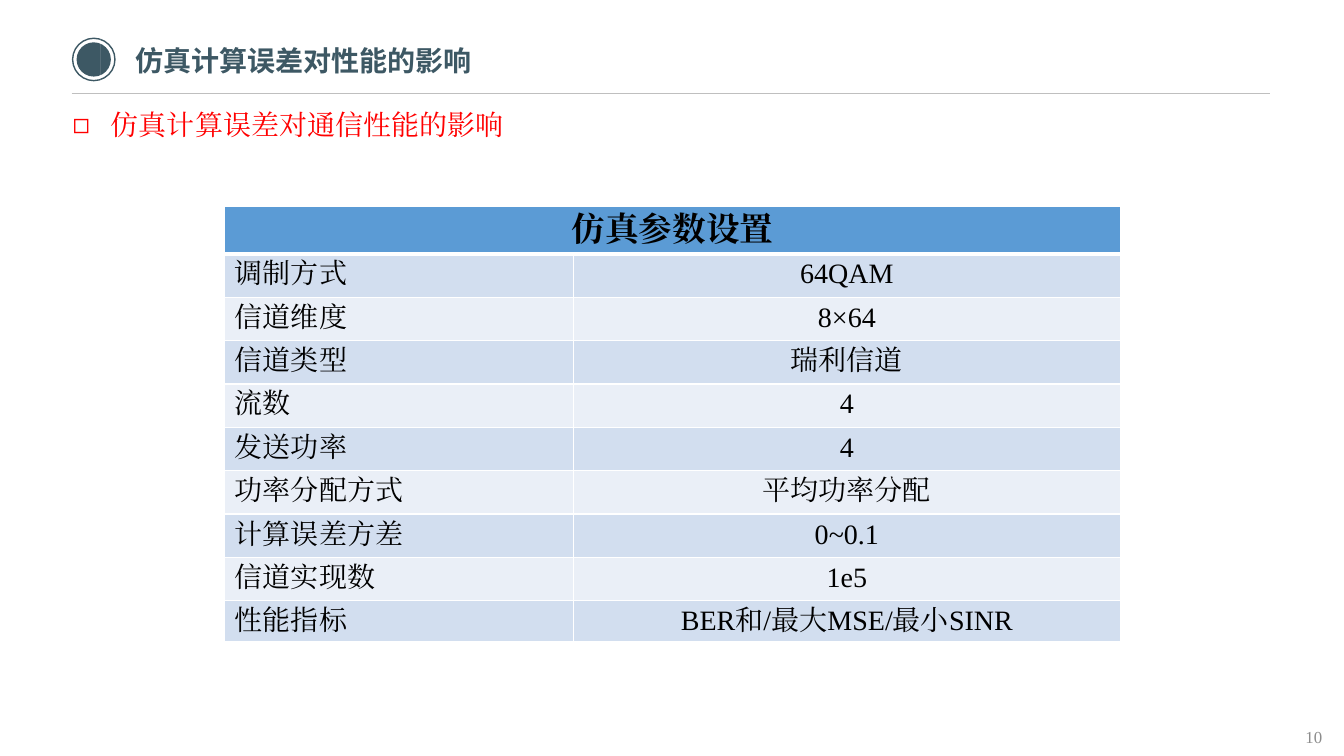
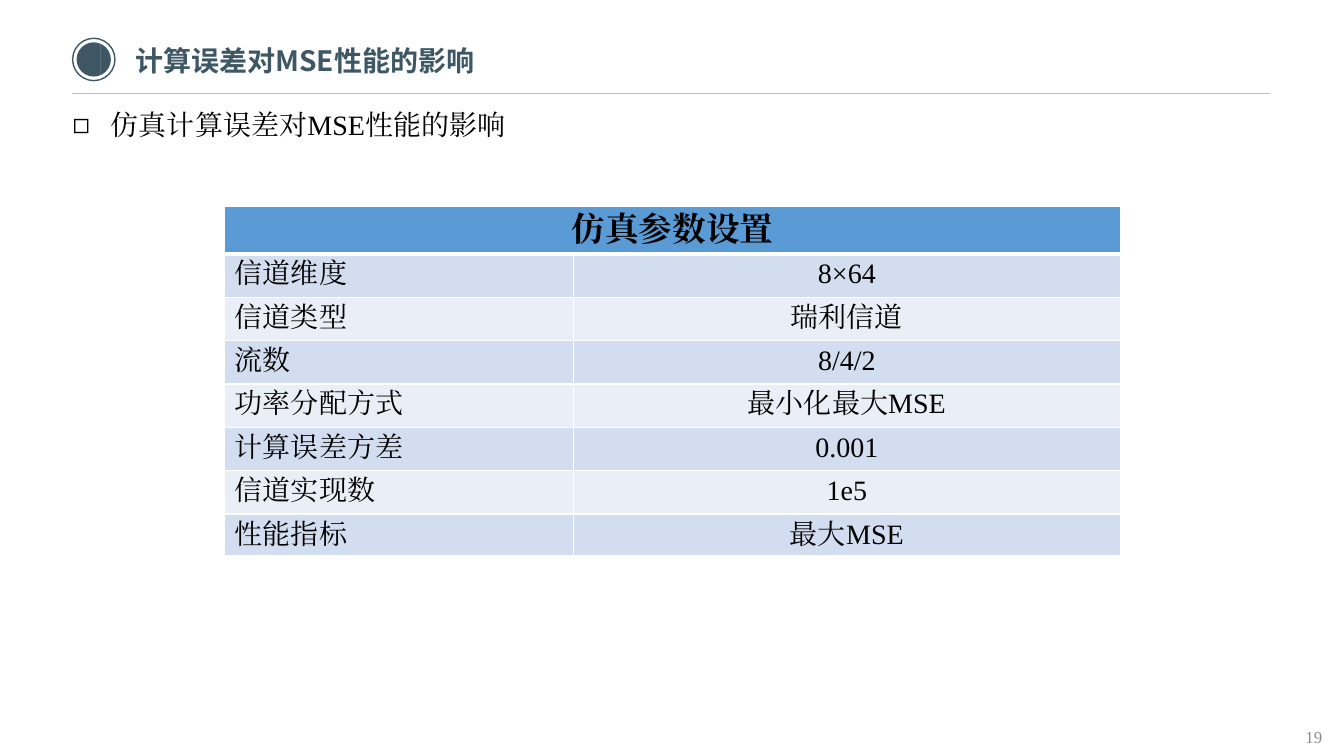
import math
from dataclasses import dataclass

import lxml.etree
import pptx
import pptx.dml.color
import pptx.enum.shapes
import pptx.enum.text
import pptx.oxml.ns
import pptx.util

Inches = pptx.util.Inches
Pt = pptx.util.Pt
qn = pptx.oxml.ns.qn
ALIGN = pptx.enum.text.PP_ALIGN
ANCHOR = pptx.enum.text.MSO_ANCHOR
SHAPE = pptx.enum.shapes.MSO_SHAPE

SERIF = "Times New Roman"
SANS = "Noto Sans CJK SC"
SLATE, GRAY, RULE = "3D5864", "8C8C8C", "BFBFBF"
BLACK, WHITE, RED = "000000", "FFFFFF", "FF0000"
HEADER_FILL, BAND_FILLS = "5B9BD5", ("D2DEEF", "EAEFF7")


@dataclass(frozen=True)
class TextStyle:
    size: float
    color: str = BLACK
    font: str = SERIF
    bold: bool = False
    align: ALIGN = ALIGN.LEFT


TITLE = TextStyle(20, SLATE, SANS, True)
PAGE_NUMBER = TextStyle(12, GRAY)
TABLE_HEADER = TextStyle(24, bold=True, align=ALIGN.CENTER)
PARAMETER = TextStyle(20, align=ALIGN.JUSTIFY)
VALUE = TextStyle(20, align=ALIGN.CENTER)


@dataclass(frozen=True)
class ParameterSlide:
    number: int
    title: str
    topic: str
    topic_color: str
    parameters: tuple[tuple[str, str], ...]


SLIDES = (
    ParameterSlide(
        10, "仿真计算误差对性能的影响", "仿真计算误差对通信性能的影响", RED,
        (
            ("调制方式", "64QAM"),
            ("信道维度", "8×64"),
            ("信道类型", "瑞利信道"),
            ("流数", "4"),
            ("发送功率", "4"),
            ("功率分配方式", "平均功率分配"),
            ("计算误差方差", "0~0.1"),
            ("信道实现数", "1e5"),
            ("性能指标", "BER和/最大MSE/最小SINR"),
        ),
    ),
    ParameterSlide(
        19, "计算误差对MSE性能的影响", "仿真计算误差对MSE性能的影响", BLACK,
        (
            ("信道维度", "8×64"),
            ("信道类型", "瑞利信道"),
            ("流数", "8/4/2"),
            ("功率分配方式", "最小化最大MSE"),
            ("计算误差方差", "0.001"),
            ("信道实现数", "1e5"),
            ("性能指标", "最大MSE"),
        ),
    ),
)


def rgb(value: str) -> pptx.dml.color.RGBColor:
    return pptx.dml.color.RGBColor.from_string(value)


def set_attrs(target, values: dict) -> None:
    for name, value in values.items():
        setattr(target, name, value)


def write(tf, text: str, style: TextStyle):
    """Write one styled paragraph, with the same font for Latin and Chinese."""
    p = tf.paragraphs[0]
    set_attrs(p, {"alignment": style.align, "space_before": Pt(0)})
    r = p.add_run()
    r.text = text
    r.font.color.rgb = rgb(style.color)
    set_attrs(r.font, {"name": style.font, "size": Pt(style.size), "bold": style.bold})
    ea = lxml.etree.SubElement(r._r.get_or_add_rPr(), qn("a:ea"))
    ea.set("typeface", style.font)
    return p


def place(sp, left: float, top: float, width: float, height: float) -> None:
    set_attrs(sp, {"left": Inches(left), "top": Inches(top),
                   "width": Inches(width), "height": Inches(height)})


def format_frame(tf, anchor: ANCHOR, left: float, right: float) -> None:
    set_attrs(tf, {
        "word_wrap": True, "auto_size": pptx.enum.text.MSO_AUTO_SIZE.NONE,
        "vertical_anchor": anchor,
        "margin_left": Inches(left), "margin_right": Inches(right),
        "margin_top": Inches(0.05), "margin_bottom": Inches(0.05),
    })


def add_disc(s, inset: float, filled: bool) -> None:
    size = 0.42 - 2 * inset
    sp = s.shapes.add_shape(SHAPE.OVAL, Inches(0.72 + inset), Inches(0.38 + inset),
                            Inches(size), Inches(size))
    sp.shadow.inherit = False
    if filled:
        sp.fill.solid()
        sp.fill.fore_color.rgb = rgb(SLATE)
        sp.line.fill.background()
    else:
        sp.fill.background()
        sp.line.color.rgb = rgb(SLATE)
        sp.line.width = Pt(1)


def circle(x: float, y: float, radius: float) -> list[tuple[float, float]]:
    angles = [math.tau * i / 24 for i in range(24)]
    return [(x + radius * math.cos(a), y + radius * math.sin(a)) for a in angles]


def gear_rim(x: float, y: float) -> list[tuple[float, float]]:
    """Outline of eight T-shaped teeth around a ring."""
    half = [(0.074, 0.01), (0.092, 0.01), (0.092, 0.024), (0.106, 0.02)]
    tooth = [(d, -t) for d, t in half] + half[::-1]
    rim = []
    for i in range(8):
        c, n = math.cos(math.tau * i / 8), math.sin(math.tau * i / 8)
        rim += [(x + d * c - t * n, y + d * n + t * c) for d, t in tooth]
    return rim


def add_gear(s) -> None:
    x, y = 0.93, 0.59
    outlines = [gear_rim(x, y), circle(x, y, 0.055),
                circle(0.92, 0.57, 0.018), circle(0.95, 0.6, 0.01)]
    fb = s.shapes.build_freeform(*outlines[0][0], scale=Inches(1))
    fb.add_line_segments(outlines[0][1:], close=True)
    for outline in outlines[1:]:
        fb.move_to(*outline[0])
        fb.add_line_segments(outline[1:], close=True)
    sp = fb.convert_to_shape()
    sp.shadow.inherit = False
    sp.fill.solid()
    sp.fill.fore_color.rgb = rgb(WHITE)
    sp.line.fill.background()


def add_frame(s, number: int) -> None:
    """Draw the icon, the rule under the title and the page number."""
    add_disc(s, 0, False)
    add_disc(s, 0.04, True)
    add_gear(s)
    rule = s.shapes.add_connector(pptx.enum.shapes.MSO_CONNECTOR.STRAIGHT,
                                  Inches(0.71), Inches(0.93), Inches(12.6), Inches(0.93))
    rule.line.color.rgb = rgb(RULE)
    rule.line.width = Pt(0.5)
    lxml.etree.SubElement(rule._element.spPr, qn("a:effectLst"))
    box = s.shapes.add_textbox(Inches(12.85), Inches(7.16), Inches(0.97), Inches(0.3))
    format_frame(box.text_frame, ANCHOR.TOP, 0.1, 0.1)
    write(box.text_frame, str(number), PAGE_NUMBER)


def add_title(s, text: str) -> None:
    sp = s.shapes.title
    place(sp, 1.34, 0.38, 7.22, 0.44)
    format_frame(sp.text_frame, ANCHOR.MIDDLE, 0, 0.1)
    write(sp.text_frame, text, TITLE)


def add_topic(s, text: str, color: str) -> None:
    sp = s.placeholders[1]
    place(sp, 0.72, 0.92, 11.89, 6.58)
    format_frame(sp.text_frame, ANCHOR.TOP, 0, 0)
    p = write(sp.text_frame, text, TextStyle(20, color, align=ALIGN.JUSTIFY))
    p.line_spacing = 1.3
    pPr = p._p.get_or_add_pPr()
    pPr.set("marL", str(Inches(0.38)))
    pPr.set("indent", str(-Inches(0.38)))
    lxml.etree.SubElement(pPr, qn("a:buFont")).set("typeface", SERIF)
    lxml.etree.SubElement(pPr, qn("a:buChar")).set("char", "◻")


def format_cell(cell, fill: str, top: float = 1, bottom: float = 1) -> None:
    cell.fill.solid()
    cell.fill.fore_color.rgb = rgb(fill)
    tcPr = cell._tc.get_or_add_tcPr()
    widths = {"a:lnL": 1, "a:lnR": 1, "a:lnT": top, "a:lnB": bottom}
    for i, (tag, width) in enumerate(widths.items()):
        ln = lxml.etree.Element(qn(tag), w=str(Pt(width)))
        solid = lxml.etree.SubElement(ln, qn("a:solidFill"))
        lxml.etree.SubElement(solid, qn("a:srgbClr")).set("val", WHITE)
        tcPr.insert(i, ln)


def add_parameter_table(s, parameters: tuple[tuple[str, str], ...]) -> None:
    heights = [0.43] * len(parameters) + [0.37]
    frame = s.shapes.add_table(len(heights), 2, Inches(2.23), Inches(2.05),
                               Inches(8.88), Inches(sum(heights)))
    table = frame.table
    set_attrs(table, {"first_row": False, "horz_banding": False})
    for column, width in zip(table.columns, (3.46, 5.42)):
        column.width = Inches(width)
    for row, height in zip(table.rows, heights):
        row.height = Inches(height)
    for cell in table.rows[0].cells:
        format_cell(cell, HEADER_FILL, bottom=3)
    table.cell(0, 0).merge(table.cell(0, 1))
    write(table.cell(0, 0).text_frame, "仿真参数设置", TABLE_HEADER)
    for i, texts in enumerate(parameters):
        for j, (text, style) in enumerate(zip(texts, (PARAMETER, VALUE))):
            cell = table.cell(i + 1, j)
            format_cell(cell, BAND_FILLS[i % 2], top=3 if i == 0 else 1)
            write(cell.text_frame, text, style)


def main() -> None:
    prs = pptx.Presentation()
    set_attrs(prs, {"slide_width": Inches(13.33), "slide_height": Inches(7.5)})
    for content in SLIDES:
        s = prs.slides.add_slide(prs.slide_layouts[1])
        add_frame(s, content.number)
        add_title(s, content.title)
        add_topic(s, content.topic, content.topic_color)
        add_parameter_table(s, content.parameters)
    prs.save("out.pptx")


if __name__ == "__main__":
    main()
